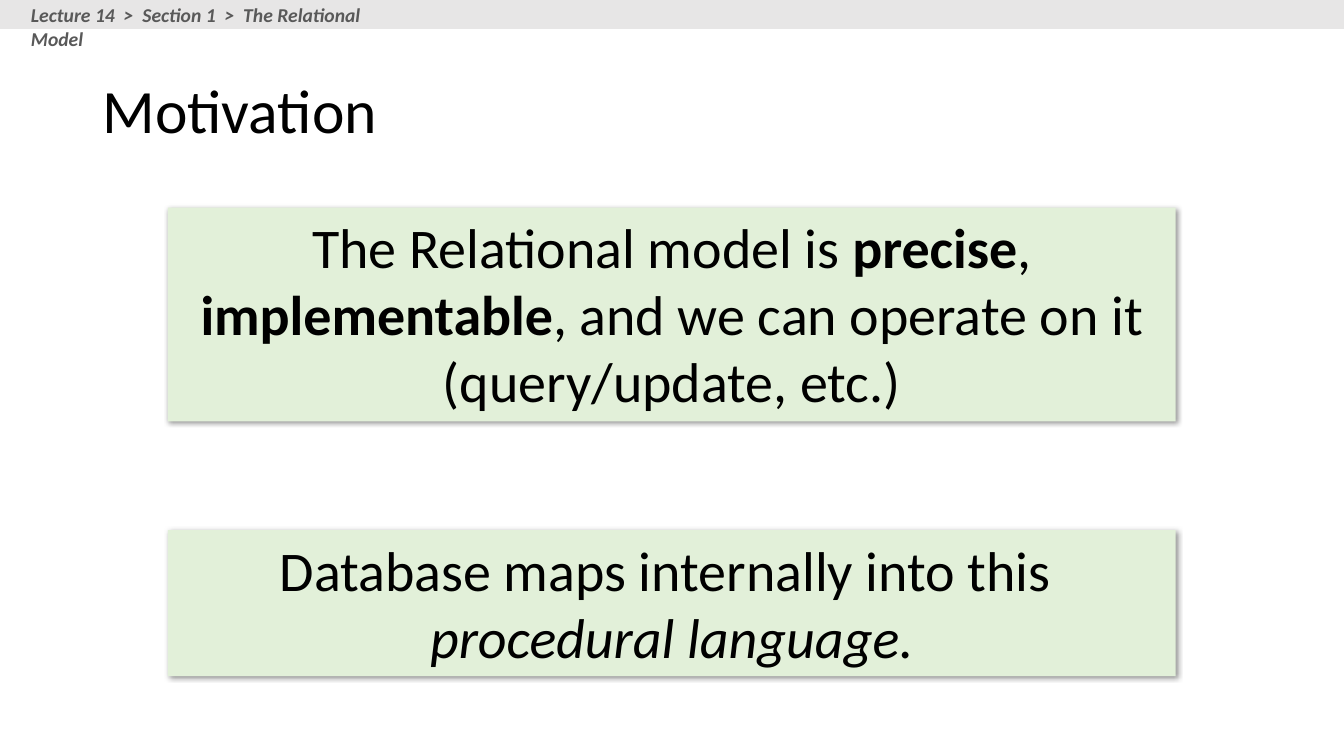
import pptx
import pptx.util
import pptx.dml.color
import pptx.enum.shapes
import pptx.enum.text
import pptx.oxml
import pptx.oxml.ns

Cm = pptx.util.Cm
Pt = pptx.util.Pt
ALIGN = pptx.enum.text.PP_ALIGN
ANCHOR = pptx.enum.text.MSO_ANCHOR
SHADOW = (
    '<a:effectLst %s><a:outerShdw blurRad="50800" dist="12700" dir="2700000" '
    'algn="tl" rotWithShape="0"><a:srgbClr val="000000"><a:alpha val="40000"/>'
    '</a:srgbClr></a:outerShdw></a:effectLst>' % pptx.oxml.ns.nsdecls("a")
)


def color(value):
    return pptx.dml.color.RGBColor.from_string(value)


def add_run(p, text, size, fill="000000", bold=False, italic=False):
    r = p.add_run()
    r.text = text
    r.font.name = "Calibri"
    r.font.size = Pt(size)
    r.font.bold = bold
    r.font.italic = italic
    r.font.color.rgb = color(fill)


def add_rect(shapes, box, fill):
    sp = shapes.add_shape(pptx.enum.shapes.MSO_SHAPE.RECTANGLE, *box)
    sp.shadow.inherit = False
    sp.fill.solid()
    sp.fill.fore_color.rgb = color(fill)
    sp.line.fill.background()
    return sp


def add_title(s, box, text):
    sp = s.shapes.title
    sp.left, sp.top, sp.width, sp.height = box
    tf = sp.text_frame
    tf.vertical_anchor = ANCHOR.MIDDLE
    p = tf.paragraphs[0]
    p.alignment = ALIGN.LEFT
    p.line_spacing = 0.9
    add_run(p, text, 44)


def add_statement(s, box, paragraphs):
    sp = add_rect(s.shapes, box, "E2F0D9")
    props = sp._element.spPr
    props.remove(props.find(pptx.oxml.ns.qn("a:effectLst")))
    props.append(pptx.oxml.parse_xml(SHADOW))
    tf = sp.text_frame
    tf.word_wrap = True
    tf.auto_size = pptx.enum.text.MSO_AUTO_SIZE.SHAPE_TO_FIT_TEXT
    tf.vertical_anchor = ANCHOR.TOP
    for i, runs in enumerate(paragraphs):
        p = tf.add_paragraph() if i else tf.paragraphs[0]
        p.alignment = ALIGN.CENTER
        for text, style in runs:
            add_run(p, text, 40, bold=style == "bold", italic=style == "italic")


def add_breadcrumb(s, box, text):
    left, top, width, height = box
    group = s.shapes.add_group_shape()
    add_rect(group.shapes, box, "E7E6E6")
    sp = group.shapes.add_textbox(
        left + Cm(0.53), top - Cm(0.05), Cm(10.06), height + Cm(0.13))
    tf = sp.text_frame
    tf.word_wrap = True
    add_run(tf.paragraphs[0], text, 14, "595959", bold=True, italic=True)


def main():
    prs = pptx.Presentation()
    prs.slide_width, prs.slide_height = Cm(33.87), Cm(19.05)
    s = prs.slides.add_slide(prs.slide_layouts[5])
    add_title(s, (Cm(2.33), Cm(1.01), Cm(29.21), Cm(3.68)), "Motivation")
    left, width = Cm(4.23), Cm(25.4)
    add_statement(s, (left, Cm(5.23), width, Cm(5.39)), [[
        ("The Relational model is ", None),
        ("precise", "bold"),
        (", ", None),
        ("implementable", "bold"),
        (", and we can operate on it (query/update, etc.)", None),
    ]])
    add_statement(s, (left, Cm(13.36), width, Cm(3.68)), [
        [("Database maps internally into this ", None)],
        [("procedural language.", "italic")],
    ])
    add_breadcrumb(s, (0, 0, prs.slide_width, Cm(0.73)),
                   "Lecture 14  >  Section 1  >  The Relational Model")
    prs.save("out.pptx")


if __name__ == "__main__":
    main()
